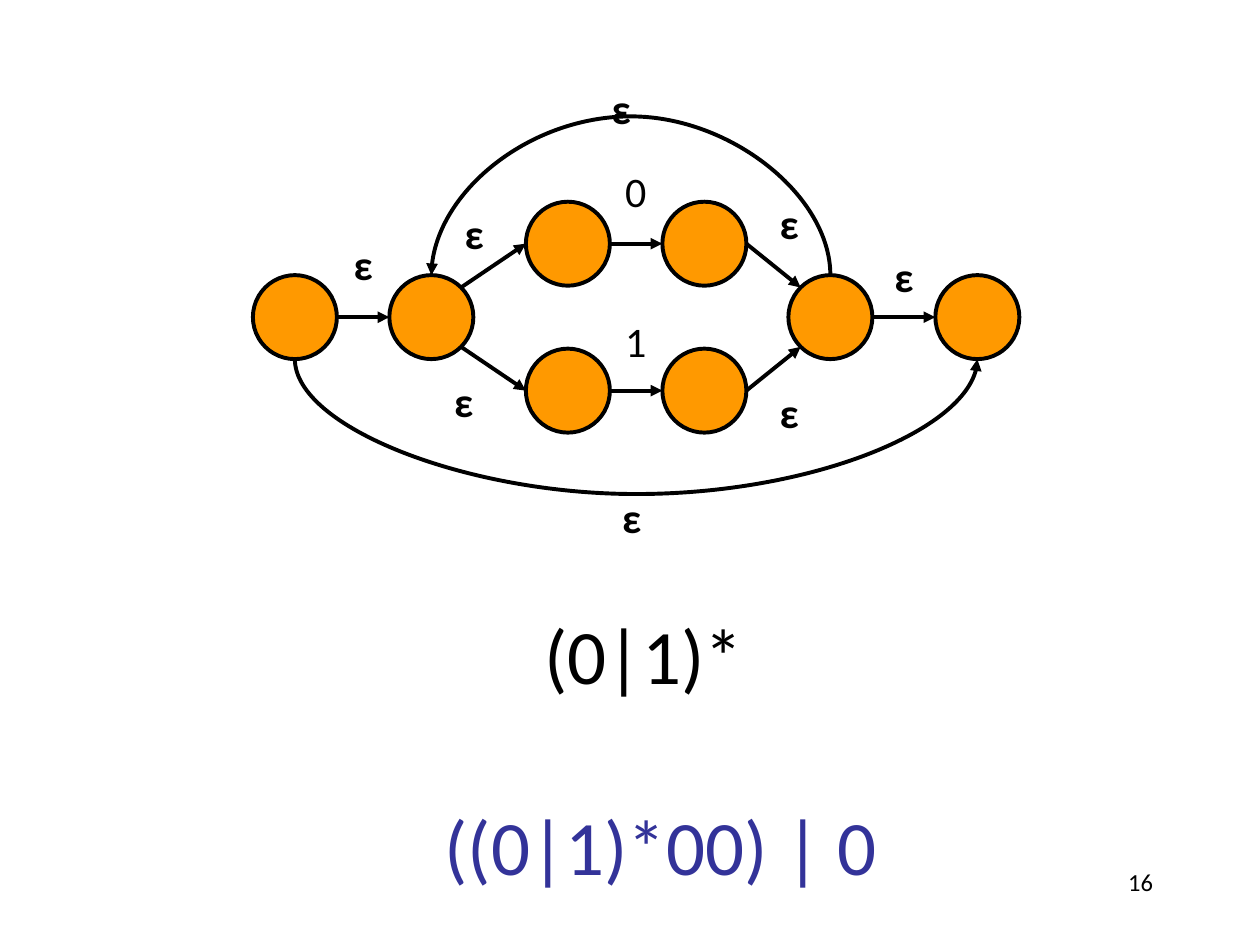
from lxml import etree
from pptx import Presentation
from pptx.dml.color import RGBColor
from pptx.enum import shapes, text
from pptx.oxml.ns import qn
from pptx.util import Pt

BLACK = RGBColor(0x00, 0x00, 0x00)
ORANGE = RGBColor(0xFF, 0x99, 0x00)
INDIGO = RGBColor(0x33, 0x33, 0x99)
FONT = "Calibri"
DIAMETER = 48
RADIUS = DIAMETER / 2
DIAGONAL = RADIUS * 0.5 ** 0.5
LINE_WIDTH = 2.25
CURVE_DEPTH = 0.05  # nearly flat: both ends of a loop are level

MIDDLE, BRANCH = 181.25, 42
UPPER, LOWER = MIDDLE - BRANCH, MIDDLE + BRANCH

# State: centre
STATES = {
    "start": (168.5, MIDDLE),
    "fork": (246.5, MIDDLE),
    "zero in": (324.5, UPPER),
    "zero out": (402.5, UPPER),
    "one in": (324.5, LOWER),
    "one out": (402.5, LOWER),
    "join": (474.5, MIDDLE),
    "accept": (558.5, MIDDLE),
}

# Side of a state: offset from its centre
SIDES = {
    "left": (-RADIUS, 0),
    "right": (RADIUS, 0),
    "top": (0, -RADIUS),
    "bottom": (0, RADIUS),
    "upper left": (-DIAGONAL, -DIAGONAL),
    "upper right": (DIAGONAL, -DIAGONAL),
    "lower left": (-DIAGONAL, DIAGONAL),
    "lower right": (DIAGONAL, DIAGONAL),
}

# From state, side, to state, side
ARROWS = [
    ("start", "right", "fork", "left"),
    ("fork", "upper right", "zero in", "left"),
    ("fork", "lower right", "one in", "left"),
    ("zero in", "right", "zero out", "left"),
    ("one in", "right", "one out", "left"),
    ("zero out", "right", "join", "upper left"),
    ("one out", "right", "join", "lower left"),
    ("join", "right", "accept", "left"),
]

# From state, to state, side, bulge, rotation, mirrored
LOOPS = [
    ("join", "fork", "top", -80, 90, False),
    ("start", "accept", "bottom", 68, 270, True),
]

# Left and top of each label
EPSILONS = [(258.5, 115), (252.5, 211), (438.5, 109.5), (438.5, 217.5),
            (504, 139.5), (342.5, 43.5), (195, 132.5), (348.5, 277.5)]
DIGITS = [("0", 350, 91), ("1", 350, 176.5)]

# Text, left, top, width, colour
EXPRESSIONS = [
    ("(0|1)*", 304, 343.5, 129, BLACK),
    ("((0|1)*00) | 0", 247, 453, 264, INDIGO),
]


def add_text(slide, words, left, top, width, height, size, color=BLACK,
             align=text.PP_ALIGN.LEFT, bold=False, wrap=False):
    box = slide.shapes.add_textbox(Pt(left), Pt(top), Pt(width), Pt(height))
    box.text_frame.word_wrap = wrap
    para = box.text_frame.paragraphs[0]
    para.alignment = align
    span = para.add_run()
    span.text = words
    span.font.name = FONT
    span.font.size = Pt(size)
    span.font.bold = bold
    span.font.color.rgb = color


def add_state(slide, x, y):
    state = slide.shapes.add_shape(
        shapes.MSO_SHAPE.FLOWCHART_CONNECTOR,
        Pt(x - RADIUS), Pt(y - RADIUS), Pt(DIAMETER), Pt(DIAMETER))
    state.shadow.inherit = False
    state.fill.solid()
    state.fill.fore_color.rgb = ORANGE
    state.line.color.rgb = BLACK
    state.line.width = Pt(LINE_WIDTH)


def side_point(state, side):
    return tuple(a + b for a, b in zip(STATES[state], SIDES[side]))


def add_arrow(slide, kind, begin, end):
    arrow = slide.shapes.add_connector(kind, *(Pt(v) for v in begin + end))
    arrow.line.color.rgb = BLACK
    arrow.line.width = Pt(LINE_WIDTH)
    etree.SubElement(arrow.line._get_or_add_ln(), qn("a:tailEnd"), type="triangle")
    etree.SubElement(arrow._element.spPr, qn("a:effectLst"))
    return arrow


def add_loop(slide, begin, end, bulge, rotation, mirrored):
    """Turn a curved connector on its side so that it bulges up or down."""
    span = abs(end[0] - begin[0])
    center = (begin[0] + end[0]) / 2
    loop = add_arrow(slide, shapes.MSO_CONNECTOR.CURVE, begin, end)
    loop.left, loop.top = Pt(center - CURVE_DEPTH / 2), Pt(begin[1] - span / 2)
    loop.width, loop.height = Pt(CURVE_DEPTH), Pt(span)
    frame = loop._element.spPr.find(qn("a:xfrm"))
    frame.set("rot", str(rotation * 60000))
    frame.set("flipH", str(int(mirrored)))
    guides = loop._element.spPr.find(qn("a:prstGeom")).get_or_add_avLst()
    adjust = round(bulge / CURVE_DEPTH * 100000)
    etree.SubElement(guides, qn("a:gd"), name="adj1", fmla=f"val {adjust}")


def main():
    deck = Presentation()
    deck.slide_width, deck.slide_height = Pt(720), Pt(540)
    page = deck.slides.add_slide(deck.slide_layouts[6])
    center = text.PP_ALIGN.CENTER

    for x, y in STATES.values():
        add_state(page, x, y)
    for origin, exit_side, target, entry_side in ARROWS:
        add_arrow(page, shapes.MSO_CONNECTOR.STRAIGHT,
                  side_point(origin, exit_side), side_point(target, entry_side))
    for origin, target, side, bulge, rotation, mirrored in LOOPS:
        add_loop(page, side_point(origin, side), side_point(target, side),
                 bulge, rotation, mirrored)

    for left, top in EPSILONS:
        add_text(page, "ε", left, top, 25, 36, 24, align=center, bold=True)
    for digit, left, top in DIGITS:
        add_text(page, digit, left, top, 26.5, 36.5, 24, align=center)
    for words, left, top, width, color in EXPRESSIONS:
        add_text(page, words, left, top, width, 60.5, 44, color)
    add_text(page, "16", 516, 492, 150, 36, 14,
             align=text.PP_ALIGN.RIGHT, wrap=True)
    deck.save("out.pptx")


if __name__ == "__main__":
    main()
